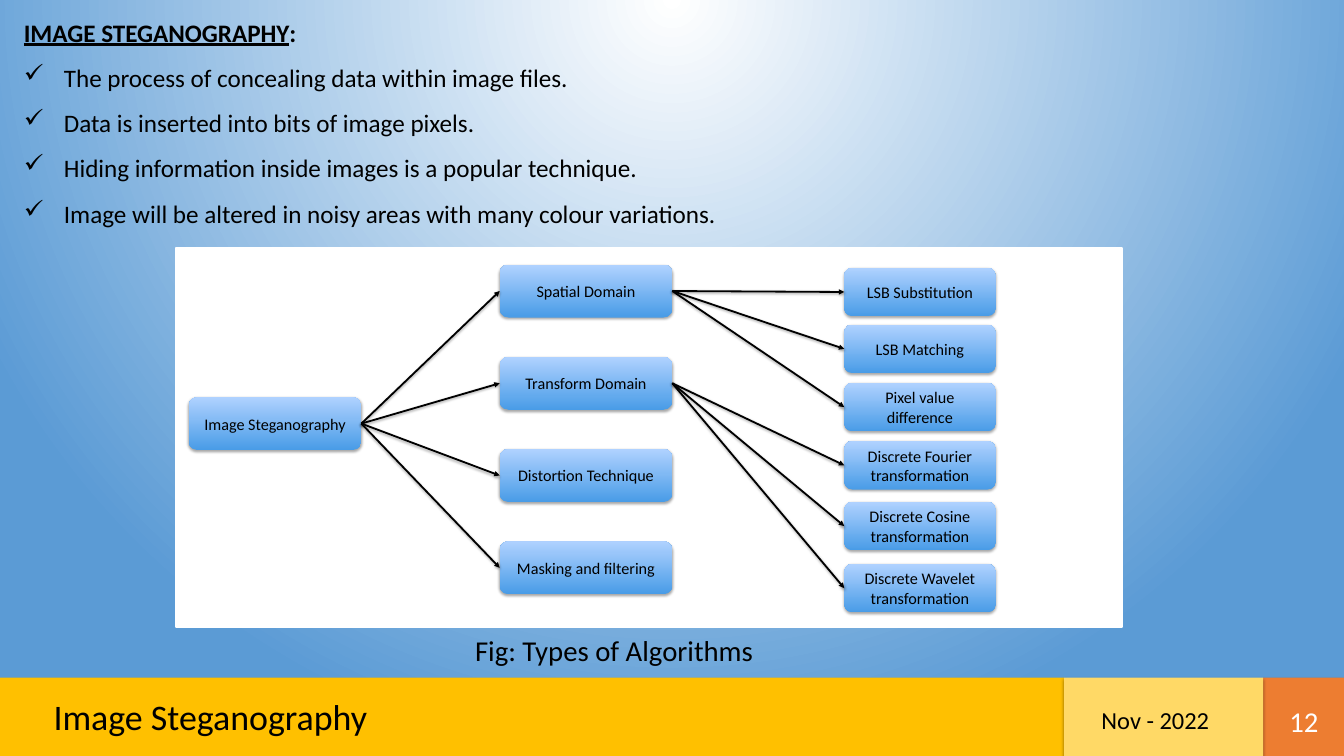
from dataclasses import dataclass
from typing import Any

from pptx import Presentation
from pptx.dml.color import RGBColor
from pptx.enum.shapes import MSO_CONNECTOR, MSO_SHAPE
from pptx.enum.text import MSO_ANCHOR, PP_ALIGN
from pptx.oxml import parse_xml
from pptx.oxml.ns import nsdecls
from pptx.util import Inches, Pt


@dataclass(frozen=True)
class Theme:
    font: str = "Calibri"
    black: str = "000000"
    white: str = "FFFFFF"
    sky: str = "5B9BD5"
    gold: str = "FFC000"
    rust: str = "ED7D31"
    sand: str = "FFD966"
    low: str = "499CE7"
    high: str = "B0D2FF"
    title: float = 40
    large: float = 32
    body: float = 28
    date: float = 27.2
    small: float = 18


@dataclass(frozen=True)
class Shade:
    alpha: int
    blur: float
    drop: float


@dataclass(frozen=True)
class Area:
    left: float
    top: float
    width: float
    height: float

    def lengths(self) -> list[int]:
        return [Inches(n) for n in (self.left, self.top, self.width, self.height)]


@dataclass(frozen=True)
class Label:
    text: str
    area: Area
    size: float
    color: str = "000000"
    align: Any = PP_ALIGN.LEFT
    anchor: Any = MSO_ANCHOR.TOP


@dataclass(frozen=True)
class Bar:
    left: float
    width: float
    color: str


@dataclass(frozen=True)
class Leaf:
    text: str
    top: float


@dataclass(frozen=True)
class Branch:
    text: str
    leaves: tuple[Leaf, ...] = ()


THEME = Theme()
BAR_SHADE = Shade(32, 3.5, 2.2)
BOX_SHADE = Shade(35, 3.1, 1.8)
LINE_SHADE = Shade(38, 3.1, 1.6)

BARS = [
    Bar(-0.02, 16.48, THEME.gold),
    Bar(19.54, 1.25, THEME.rust),
    Bar(16.46, 3.08, THEME.sand),
]
LABELS = [
    Label("Image Steganography", Area(0.73, 10.69, 12.33, 0.77), THEME.title),
    Label("12", Area(19.68, 10.94, 0.98, 0.41), THEME.large, THEME.white,
          PP_ALIGN.CENTER, MSO_ANCHOR.MIDDLE),
    Label("Nov - 2022", Area(16.94, 10.86, 2.45, 0.56), THEME.date),
    Label("Fig: Types of Algorithms", Area(7.25, 9.73, 6.98, 0.64), THEME.large),
]
POINTS = [
    "The process of concealing data within image files.",
    "Data is inserted into bits of image pixels.",
    "Hiding information inside images is a popular technique.",
    "Image will be altered in noisy areas with many colour variations.",
]
TREE = [
    Branch("Spatial Domain", (
        Leaf("LSB Substitution", 4.14),
        Leaf("LSB Matching", 5.02),
        Leaf("Pixel value difference", 5.92),
    )),
    Branch("Transform Domain", (
        Leaf("Discrete Fourier transformation", 6.82),
        Leaf("Discrete Cosine transformation", 7.76),
        Leaf("Discrete Wavelet transformation", 8.72),
    )),
    Branch("Distortion Technique"),
    Branch("Masking and filtering"),
]
FIRST, LAST = 4.09, 8.37


def apply(target: Any, values: dict[str, Any]) -> None:
    for name, value in values.items():
        setattr(target, name, value)


def write(para: Any, text: str, size: float, color: str = THEME.black, **extra: Any) -> None:
    run = para.add_run()
    run.text = text
    apply(run.font, {"name": THEME.font, "size": Pt(size), **extra})
    run.font.color.rgb = RGBColor.from_string(color)


def cast(item: Any, shade: Shade) -> None:
    props = item.element.spPr
    for old in props.xpath("a:effectLst"):
        props.remove(old)
    props.append(parse_xml(
        f'<a:effectLst {nsdecls("a")}><a:outerShdw blurRad="{Pt(shade.blur)}" '
        f'dist="{Pt(shade.drop)}" dir="5400000" rotWithShape="0">'
        f'<a:srgbClr val="{THEME.black}"><a:alpha val="{shade.alpha * 1000}"/></a:srgbClr>'
        '</a:outerShdw></a:effectLst>'))


def paint(slide: Any) -> None:
    slide.background.fill.solid()
    props = slide.element.xpath("p:cSld/p:bg/p:bgPr")[0]
    props.replace(props[0], parse_xml(
        f'<a:gradFill {nsdecls("a")} rotWithShape="1"><a:gsLst>'
        f'<a:gs pos="0"><a:srgbClr val="{THEME.white}"/></a:gs>'
        f'<a:gs pos="100000"><a:srgbClr val="{THEME.sky}"/></a:gs></a:gsLst>'
        '<a:path path="circle"><a:fillToRect l="50000" t="-80000" r="50000" b="180000"/>'
        '</a:path></a:gradFill>'))


def block(slide: Any, area: Area, color: str) -> Any:
    item = slide.shapes.add_shape(MSO_SHAPE.RECTANGLE, *area.lengths())
    item.shadow.inherit = False
    item.fill.solid()
    item.fill.fore_color.rgb = RGBColor.from_string(color)
    item.line.fill.background()
    return item


def node(slide: Any, text: str, area: Area) -> Any:
    item = slide.shapes.add_shape(MSO_SHAPE.ROUNDED_RECTANGLE, *area.lengths())
    item.fill.gradient()
    item.fill.gradient_angle = 90
    for stop, place, color in zip(item.fill.gradient_stops, (0, 1), (THEME.low, THEME.high)):
        stop.position = place
        stop.color.rgb = RGBColor.from_string(color)
    item.line.fill.background()
    cast(item, BOX_SHADE)
    frame = item.text_frame
    apply(frame, {"word_wrap": True, "vertical_anchor": MSO_ANCHOR.MIDDLE})
    frame.paragraphs[0].alignment = PP_ALIGN.CENTER
    write(frame.paragraphs[0], text, THEME.small)
    return item


def arrow(slide: Any, start: Any, end: Any) -> None:
    line = slide.shapes.add_connector(MSO_CONNECTOR.STRAIGHT, 0, 0, 0, 0)
    line.begin_connect(start, 3)
    line.end_connect(end, 1)
    line.line.width = Pt(2)
    line.line.color.rgb = RGBColor.from_string(THEME.black)
    line.line._get_or_add_ln().append(parse_xml(f'<a:tailEnd {nsdecls("a")} type="triangle"/>'))
    cast(line, LINE_SHADE)


def label(slide: Any, item: Label) -> None:
    frame = slide.shapes.add_textbox(*item.area.lengths()).text_frame
    apply(frame, {"word_wrap": True, "vertical_anchor": item.anchor})
    frame.paragraphs[0].alignment = item.align
    write(frame.paragraphs[0], item.text, item.size, item.color)


def notes(slide: Any) -> None:
    frame = slide.shapes.add_textbox(*Area(0.27, -0.02, 19.54, 3.56).lengths()).text_frame
    frame.word_wrap = True
    head = frame.paragraphs[0]
    head.line_spacing = 1.5
    write(head, "IMAGE STEGANOGRAPHY", THEME.body, bold=True, underline=True)
    write(head, ":", THEME.body, bold=True)
    for point in POINTS:
        para = frame.add_paragraph()
        para.line_spacing = 1.5
        write(para, point, THEME.body)
        props = para._p.get_or_add_pPr()
        props.set("marL", str(Inches(0.62)))
        props.set("indent", str(-Inches(0.62)))
        props.append(parse_xml(
            f'<a:buClr {nsdecls("a")}><a:srgbClr val="{THEME.black}"/></a:buClr>'))
        props.append(parse_xml(f'<a:buChar {nsdecls("a")} char="✓"/>'))


def chart(slide: Any) -> None:
    panel = block(slide, Area(2.72, 3.84, 14.64, 5.85), THEME.white)
    panel.line.color.rgb = RGBColor.from_string(THEME.white)
    panel.line.width = Pt(2)
    root = node(slide, "Image Steganography", Area(2.92, 6.14, 2.67, 0.82))
    step = (LAST - FIRST) / (len(TREE) - 1)
    for row, branch in enumerate(TREE):
        stem = node(slide, branch.text, Area(7.73, FIRST + row * step, 2.67, 0.82))
        arrow(slide, root, stem)
        for leaf in branch.leaves:
            arrow(slide, stem, node(slide, leaf.text, Area(13.06, leaf.top, 2.34, 0.75)))


def main() -> None:
    deck = Presentation()
    apply(deck, {"slide_width": Inches(20.79), "slide_height": Inches(11.69)})
    slide = deck.slides.add_slide(deck.slide_layouts[6])
    paint(slide)
    for bar in BARS:
        cast(block(slide, Area(bar.left, 10.48, bar.width, 1.22), bar.color), BAR_SHADE)
    notes(slide)
    chart(slide)
    for item in LABELS:
        label(slide, item)
    deck.save("out.pptx")


if __name__ == "__main__":
    main()
